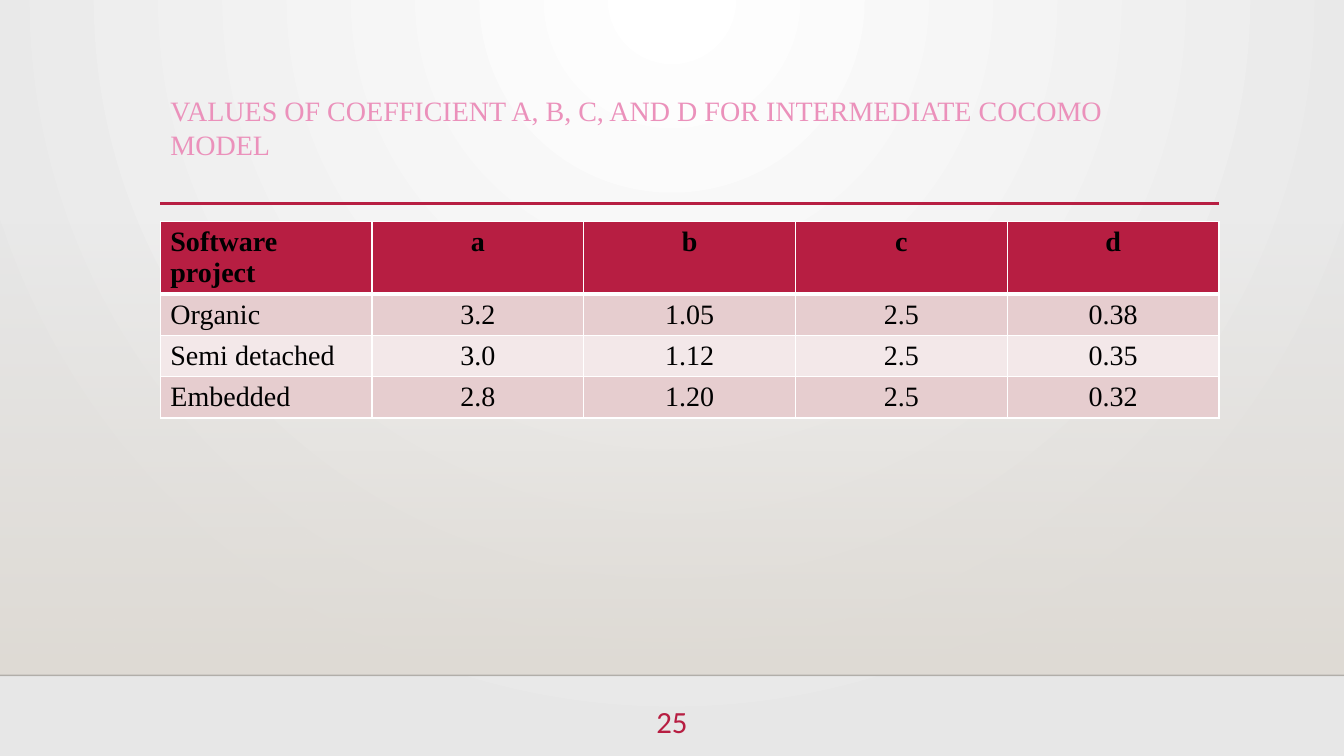
from pptx import Presentation
from pptx.dml.color import RGBColor as RGB
from pptx.enum.shapes import MSO_CONNECTOR as LINE, MSO_SHAPE as SHAPE
from pptx.enum.text import MSO_ANCHOR as ANCHOR, MSO_AUTO_SIZE as AUTO, PP_ALIGN as ALIGN
from pptx.oxml import parse_xml
from pptx.oxml.ns import nsdecls, qn
from pptx.util import Inches, Pt
from lxml.etree import SubElement

TITLE = "VALUES OF COEFFICIENT A, B, C, AND D FOR INTERMEDIATE COCOMO MODEL"
ROWS = [
    ("Software project", "a", "b", "c", "d"),
    ("Organic", "3.2", "1.05", "2.5", "0.38"),
    ("Semi detached", "3.0", "1.12", "2.5", "0.35"),
    ("Embedded", "2.8", "1.20", "2.5", "0.32"),
]
PAGE = "25"

HEX = {
    "white": "FFFFFF", "edge": "E7E7E7", "floor": "DFDBD5", "rule": "000001",
    "red": "B71E42", "pink": "EB91BB", "black": "000000",
    "odd": "E6CDCF", "even": "F3E8E9",
}
WIDE, HIGH = 13.33, 7.5
LEFT, SPAN = 1.59, 10.5
FLOOR = 6.7
HEAD, ROW = 0.71, 0.41


def color(name):
    return RGB.from_string(HEX[name])


def write(frame, text, size=20, font="Times New Roman", ink="black",
          bold=False, align=ALIGN.LEFT):
    frame.word_wrap = True
    par = frame.paragraphs[0]
    par.alignment = align
    par.line_spacing = 1.0
    run = par.add_run()
    run.text = text
    run.font.size, run.font.name, run.font.bold = Pt(size), font, bold
    run.font.color.rgb = color(ink)


def blend(fill, first, last):
    fill.gradient()
    for stop, name, spot in zip(fill.gradient_stops, (first, last), (0, 1)):
        stop.color.rgb = color(name)
        stop.position = spot


def fade(node, percent):
    """Set the opacity of the first colour found in node."""
    tone = next(node.iter(qn("a:srgbClr")))
    SubElement(tone, qn("a:alpha"), val=str(percent * 1000))


def rule(slide, x, y, end, ink, width):
    line = slide.shapes.add_connector(
        LINE.STRAIGHT, Inches(x), Inches(y), Inches(end), Inches(y))
    line.line.color.rgb = color(ink)
    line.line.width = Pt(width)
    SubElement(line.element.spPr, qn("a:effectLst"))
    return line


def border(cell, below):
    props = cell._tc.get_or_add_tcPr()
    for side, width in zip("LRTB", (1, 1, 1, below)):
        props.append(parse_xml(
            f'<a:ln{side} {nsdecls("a")} w="{Pt(width)}"><a:solidFill>'
            f'<a:srgbClr val="{HEX["white"]}"/></a:solidFill></a:ln{side}>'))


def backdrop(slide):
    blend(slide.background.fill, "white", "edge")
    grad = next(slide.element.iter(qn("a:gradFill")))
    grad.remove(grad.find(qn("a:lin")))
    ring = SubElement(grad, qn("a:path"), path="circle")
    SubElement(ring, qn("a:fillToRect"), l="43000", t="0", r="43000", b="100000")

    top = 2.21
    band = slide.shapes.add_shape(
        SHAPE.RECTANGLE, 0, Inches(top), Inches(WIDE), Inches(FLOOR - top))
    band.shadow.inherit = False
    band.line.fill.background()
    blend(band.fill, "floor", "floor")
    band.fill.gradient_angle = 270
    fade(band.element.spPr, 0)

    fade(rule(slide, 0, FLOOR, WIDE, "rule", 1).element.spPr, 20)
    rule(slide, LEFT, 2.02, LEFT + SPAN, "red", 2.5)


def heading(slide):
    title = slide.shapes.title
    title.left, title.top = Inches(LEFT), Inches(0.88)
    title.width, title.height = Inches(SPAN), Inches(1.15)
    frame = title.text_frame
    frame.auto_size = AUTO.NONE
    frame.vertical_anchor = ANCHOR.TOP
    write(frame, TITLE, ink="pink")


def grid(slide):
    count = len(ROWS[0])
    high = HEAD + ROW * (len(ROWS) - 1)
    table = slide.shapes.add_table(
        len(ROWS), count, Inches(LEFT), Inches(2.2), Inches(SPAN), Inches(high)).table
    for col in table.columns:
        col.width = Inches(SPAN / count)
    for r, row in enumerate(ROWS):
        head = r == 0
        table.rows[r].height = Inches(HEAD if head else ROW)
        tint = "red" if head else "odd" if r % 2 else "even"
        for c, text in enumerate(row):
            cell = table.cell(r, c)
            border(cell, 3 if head else 1)
            cell.fill.solid()
            cell.fill.fore_color.rgb = color(tint)
            write(cell.text_frame, text, bold=head,
                  align=ALIGN.CENTER if c else ALIGN.LEFT)


def number(slide):
    box = slide.shapes.add_textbox(Inches(6.22), Inches(6.88), Inches(0.89), Inches(0.55))
    box.text_frame.vertical_anchor = ANCHOR.MIDDLE
    write(box.text_frame, PAGE, size=22, font="Calibri", ink="red", align=ALIGN.CENTER)


def main():
    deck = Presentation()
    deck.slide_width, deck.slide_height = Inches(WIDE), Inches(HIGH)
    slide = deck.slides.add_slide(deck.slide_layouts[5])
    backdrop(slide)
    heading(slide)
    grid(slide)
    number(slide)
    deck.save("out.pptx")


if __name__ == "__main__":
    main()
